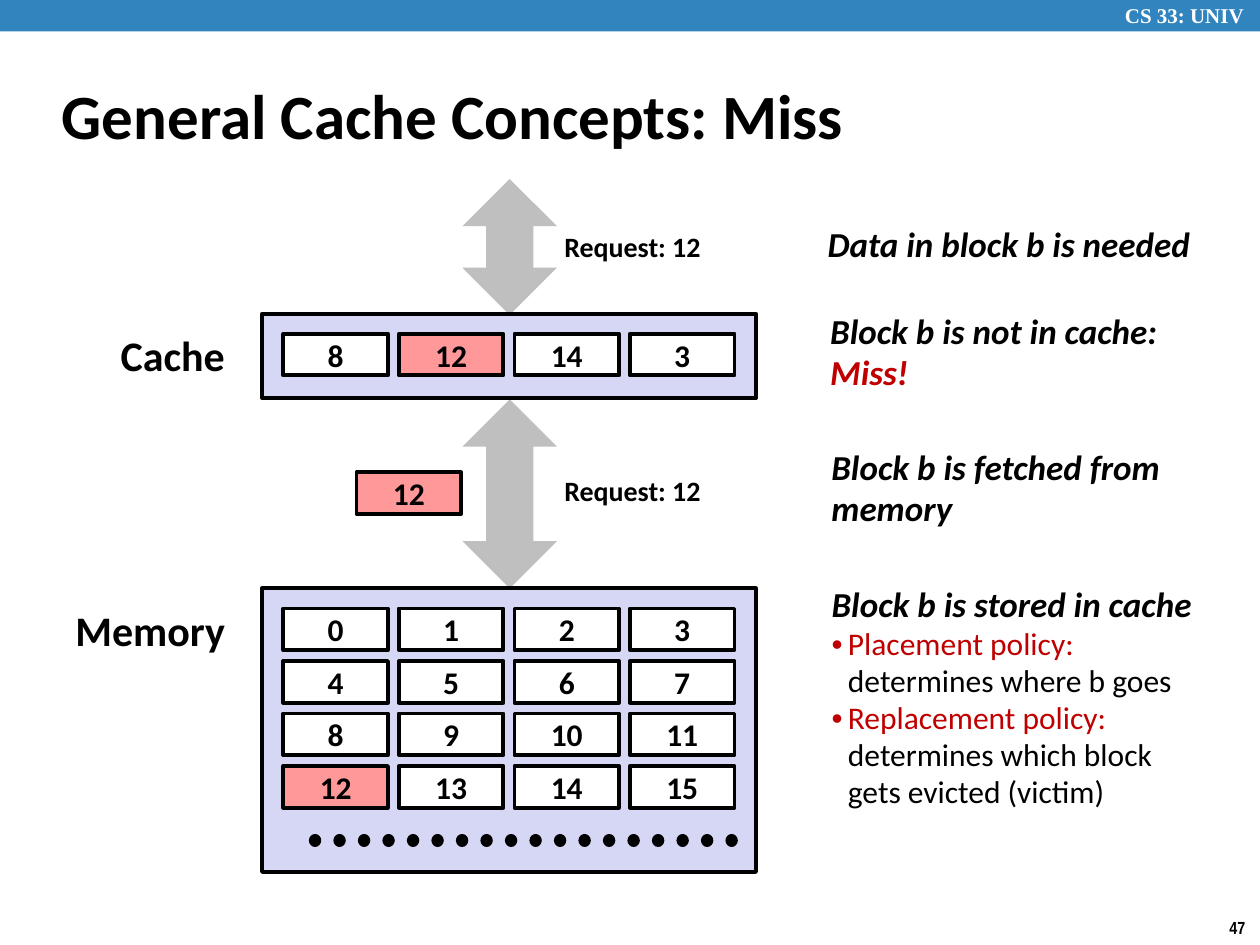
"""Builds the slide that explains a cache miss."""
from lxml import etree
from pptx import Presentation, dml, oxml, util as u
from pptx.dml import color
from pptx.enum import dml as lines, shapes, text
from pptx.oxml import ns

COLORS = {
    "black": "000000", "white": "FFFFFF", "bar": "3284BF", "arrow": "BFBFBF",
    "store": "D6D6F5", "hit": "FF9999", "accent": "C00000",
}
COLUMN_PITCH, ROW_PITCH = 11 / 12, 5 / 12


class Board:
    """Holds the style and the current slide."""

    def __init__(self, slide, font="Calibri"):
        self.slide = slide
        self.font = font

    def rgb(self, name):
        return color.RGBColor.from_string(COLORS[name])

    def place(self, item, left, top, width, height):
        item.left, item.top = u.Inches(left), u.Inches(top)
        item.width, item.height = u.Inches(width), u.Inches(height)

    def style(self, run, size, ink="black", bold=True, italic=False, font=None):
        run.font.name = font or self.font
        run.font.size = u.Pt(size)
        run.font.bold, run.font.italic = bold, italic
        run.font.color.rgb = self.rgb(ink)

    def title(self, words, *box):
        heading = self.slide.shapes.title
        self.place(heading, *box)
        frame = heading.text_frame
        frame.text = words
        frame.auto_size = text.MSO_AUTO_SIZE.NONE
        frame.vertical_anchor = text.MSO_ANCHOR.MIDDLE
        frame.paragraphs[0].alignment = text.PP_ALIGN.LEFT
        self.style(frame.paragraphs[0].runs[0], 36)

    def shape(self, kind, fill, *box, outlined=True):
        item = self.slide.shapes.add_shape(kind, *map(u.Inches, box))
        item.shadow.inherit = False
        item.fill.solid()
        item.fill.fore_color.rgb = self.rgb(fill)
        if outlined:
            item.line.color.rgb = self.rgb("black")
            item.line.width = u.Pt(2.25)
        else:
            item.line.fill.background()
        return item

    def block(self, number, left, top, fill="white"):
        cell = self.shape(shapes.MSO_SHAPE.RECTANGLE, fill, left, top, 0.83, 0.33)
        frame = cell.text_frame
        frame.text = str(number)
        frame.vertical_anchor = text.MSO_ANCHOR.MIDDLE
        frame.paragraphs[0].alignment = text.PP_ALIGN.CENTER
        self.style(frame.paragraphs[0].runs[0], 18)

    def row(self, numbers, top):
        for column, number in enumerate(numbers):
            fill = "hit" if number == 12 else "white"
            self.block(number, 2.25 + column * COLUMN_PITCH, top, fill)

    def label(self, words, size, *box, wrap=False, align=text.PP_ALIGN.LEFT, **look):
        frame = self.slide.shapes.add_textbox(*map(u.Inches, box)).text_frame
        frame.text = words
        frame.word_wrap = wrap
        frame.auto_size = text.MSO_AUTO_SIZE.SHAPE_TO_FIT_TEXT
        for paragraph in frame.paragraphs:
            paragraph.alignment = align
            self.style(paragraph.runs[0], size, **look)
        return frame

    def remark(self, words, *box):
        frame = self.label(words, 20, *box, italic=True)
        frame.vertical_anchor = text.MSO_ANCHOR.MIDDLE
        for paragraph in frame.paragraphs:
            paragraph.line_spacing = 0.98
        return frame

    def policies(self, heading, entries, *box):
        body = self.slide.placeholders[1]
        self.place(body, *box)
        frame = body.text_frame
        frame.word_wrap = False
        frame.auto_size = text.MSO_AUTO_SIZE.NONE
        frame.vertical_anchor = text.MSO_ANCHOR.MIDDLE
        frame.text = "\n".join([heading] + [""] * len(entries))
        lead, *points = frame.paragraphs
        self.style(lead.runs[0], 20, italic=True)
        self.bullet(lead, None, 0)
        for point, entry in zip(points, entries):
            point.text = entry
            for index, run in enumerate(point.runs):
                self.style(run, 18, "black" if index else "accent", bold=False)
            self.bullet(point, "•", 0.13)

    def bullet(self, paragraph, mark, indent):
        paragraph.line_spacing = 0.98
        paragraph.space_before = u.Pt(0)
        properties = paragraph._p.get_or_add_pPr()
        properties.set("marL", str(u.Inches(indent)))
        properties.set("indent", str(-u.Inches(indent)))
        if mark:
            etree.SubElement(properties, ns.qn("a:buChar")).set("char", mark)
        else:
            etree.SubElement(properties, ns.qn("a:buNone"))

    def dots(self, left, right, level):
        ends = map(u.Inches, (left, level, right, level))
        trail = self.slide.shapes.add_connector(shapes.MSO_CONNECTOR.STRAIGHT, *ends)
        trail.line.color.rgb = self.rgb("black")
        trail.line.width = u.Pt(7)
        trail.line.dash_style = lines.MSO_LINE.ROUND_DOT
        properties = trail._element.spPr
        properties.find(ns.qn("a:ln")).set("cap", "rnd")
        etree.SubElement(properties, ns.qn("a:effectLst"))


def main():
    deck = Presentation()
    deck.slide_width, deck.slide_height = u.Inches(10), u.Inches(7.5)
    board = Board(deck.slides.add_slide(deck.slide_layouts[1]))
    rectangle, arrow = shapes.MSO_SHAPE.RECTANGLE, shapes.MSO_SHAPE.UP_DOWN_ARROW

    board.shape(rectangle, "bar", 0, 0, 10, 0.25, outlined=False)
    board.label("CS 33: UNIV", 12, 8.83, -0.03, 1.24, 0.3, wrap=True,
                ink="white", font="Times New Roman")
    board.label("47", 10, 9.66, 7.23, 0.34, 0.27, font="Arial Narrow")
    board.title("General Cache Concepts: Miss", 0.39, 0.49, 8.3, 0.83)

    for top, height in ((1.42, 1.08), (3.17, 1.5)):
        board.shape(arrow, "arrow", 3.67, top, 0.75, height, outlined=False)
    for top in (1.77, 3.71):
        board.label("Request: 12", 16, 4.37, top, 1.3, 0.37, align=text.PP_ALIGN.CENTER)

    board.label("Cache", 24, 0.86, 2.57, 1.04, 0.5)
    board.shape(rectangle, "store", 2.08, 2.49, 3.92, 0.67)
    board.row((8, 12, 14, 3), 2.65)
    board.block(12, 2.83, 3.75, "hit")

    board.label("Memory", 24, 0.5, 4.75, 1.4, 0.5)
    board.shape(rectangle, "store", 2.08, 4.67, 3.92, 2.25)
    for line in range(4):
        board.row(range(4 * line, 4 * line + 4), 4.83 + line * ROW_PITCH)
    board.dots(2.5, 5.83, 6.67)

    board.remark("Data in block b is needed", 6.47, 1.73, 3.09, 0.43)
    verdict = board.remark("Block b is not in cache:\nMiss!", 6.49, 2.42, 2.81, 0.76)
    verdict.paragraphs[1].runs[0].font.color.rgb = board.rgb("accent")
    board.remark("Block b is fetched from\nmemory", 6.5, 3.5, 2.83, 0.76)
    board.policies("Block b is stored in cache", (
        "Placement policy:\ndetermines where b goes",
        "Replacement policy:\ndetermines which block\ngets evicted (victim)",
    ), 6.5, 4.58, 3.07, 1.92)

    deck.save("out.pptx")


if __name__ == "__main__":
    main()
